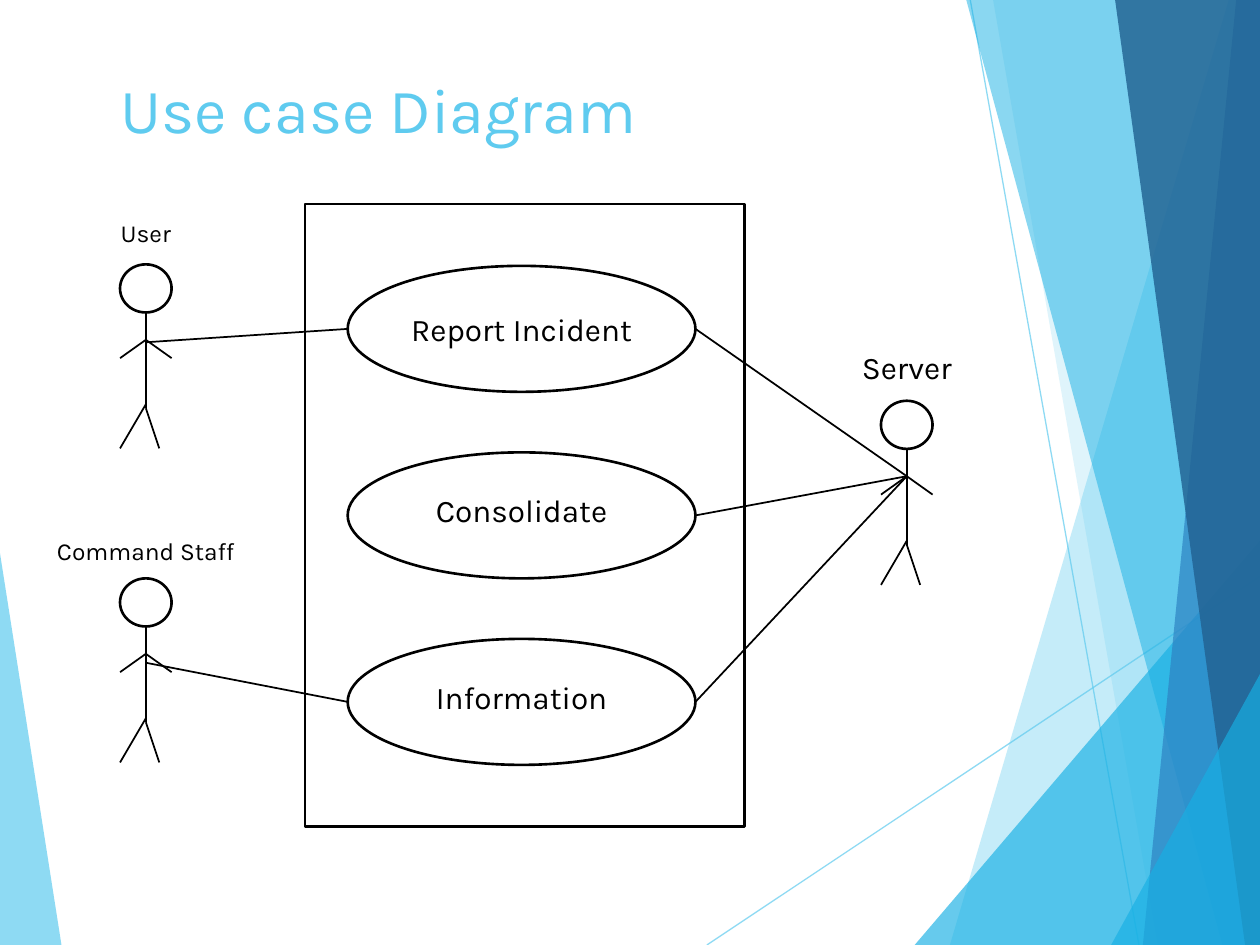
from lxml import etree
from pptx import Presentation
from pptx.dml.color import RGBColor
from pptx.enum.shapes import MSO_CONNECTOR, MSO_SHAPE
from pptx.enum.text import MSO_ANCHOR, PP_ALIGN
from pptx.oxml.ns import qn
from pptx.util import Cm, Pt

OVAL, RECTANGLE = MSO_SHAPE.OVAL, MSO_SHAPE.RECTANGLE
STRAIGHT = MSO_CONNECTOR.STRAIGHT
TOP, MIDDLE = MSO_ANCHOR.TOP, MSO_ANCHOR.MIDDLE
LEFT, CENTER = PP_ALIGN.LEFT, PP_ALIGN.CENTER

WIDTH, HEIGHT = 25.4, 19.05
FONT = "Karla"
BLACK, WHITE, SKY, AZURE, BLUE, NAVY = (
    "000000", "FFFFFF", "5FCBEF", "17B0E4", "2E83C3", "226292")


def color(hex_code):
    return RGBColor.from_string(hex_code)


def set_opacity(part, percent):
    for rgb in part._element.spPr.iter(qn("a:srgbClr")):
        etree.SubElement(rgb, qn("a:alpha")).set("val", str(percent * 1000))


def add_line(slide, start, end, hex_code=BLACK, weight=1):
    line = slide.shapes.add_connector(
        STRAIGHT, *(Cm(value) for value in (*start, *end)))
    line.line.color.rgb = color(hex_code)
    line.line.width = Pt(weight)
    etree.SubElement(line._element.spPr, qn("a:effectLst"))
    return line


def add_outline(slide, preset, box, fill=None):
    outline = slide.shapes.add_shape(preset, *(Cm(value) for value in box))
    outline.shadow.inherit = False
    if fill:
        outline.fill.solid()
        outline.fill.fore_color.rgb = color(fill)
    else:
        outline.fill.background()
    outline.line.color.rgb = color(BLACK)
    outline.line.width = Pt(1.5)


def add_text(slide, text, box, size, hex_code=BLACK, align=CENTER, anchor=MIDDLE):
    frame = slide.shapes.add_textbox(*(Cm(value) for value in box)).text_frame
    frame.word_wrap = True
    frame.vertical_anchor = anchor
    paragraph = frame.paragraphs[0]
    paragraph.text = text
    paragraph.alignment = align
    paragraph.font.name = FONT
    paragraph.font.size = Pt(size)
    paragraph.font.color.rgb = color(hex_code)


def add_facet(slide, points, hex_code, opacity):
    start, *rest = [(Cm(x), Cm(y)) for x, y in points]
    builder = slide.shapes.build_freeform(*start)
    builder.add_line_segments(rest, close=True)
    facet = builder.convert_to_shape()
    facet.shadow.inherit = False
    facet.fill.solid()
    facet.fill.fore_color.rgb = color(hex_code)
    facet.line.fill.background()
    set_opacity(facet, opacity)


def add_backdrop(slide, width, height):
    # Left wedge and thin rays
    add_facet(slide, [(0, 11.15), (1.24, height), (0, height)], SKY, 70)
    for start, end in [((14.25, height), (width, 11.62)),
                       ((19.56, 0), (22.96, height))]:
        set_opacity(add_line(slide, start, end, SKY, 0.75), 70)

    # Right facets: a slanted edge, closed along the slide's right side
    facets = [
        ((24.77, 0), (19.15, height), SKY, 36),
        ((20.02, 0), (23.34, height), SKY, 20),
        ((width, 10.9), (18.44, height), AZURE, 66),
        ((19.48, 0), (24.64, height), AZURE, 50),
        ((24.92, 0), (23.04, height), BLUE, 70),
        ((22.48, 0), (25.1, height), NAVY, 82),
        ((width, 13.59), (22.4, height), AZURE, 66),
    ]
    for upper, lower, hex_code, opacity in facets:
        edge = [upper, lower, (width, height)]
        if upper[0] < width:
            edge.append((width, 0))
        add_facet(slide, edge, hex_code, opacity)


def add_use_cases(slide, left, top, width, height):
    """Draw the system boundary; return each use case's left and right ends."""
    case_width, case_height, pitch = 7.01, 2.54, 3.76
    case_left = left + 0.86
    ends = []
    cases = [("Report Incident", 0.76), ("Consolidate", 0.66), ("Information", 0.66)]
    for row, (name, label_drop) in enumerate(cases):
        case_top = top + 1.25 + row * pitch
        add_outline(slide, OVAL, (case_left, case_top, case_width, case_height), WHITE)
        add_text(slide, name, (case_left, case_top + label_drop, case_width, 1.02), 18)
        middle = case_top + case_height / 2
        ends.append(((case_left, middle), (case_left + case_width, middle)))
    add_outline(slide, RECTANGLE, (left, top, width, height))
    return ends


def add_actor(slide, name, left, top, label_width, label_gap, size):
    """Draw a stick figure with its name above; return the shoulder point."""
    width, head_height = 1.04, 0.97
    center = left + width / 2
    add_outline(slide, OVAL, (left, top, width, head_height), WHITE)

    # Body, arms and legs
    shoulder, hands, hips, waist, feet = (
        top + drop for drop in (1.52, 1.89, 2.82, 2.9, 3.71))
    limbs = [
        (top + head_height, center, waist),
        (shoulder, left, hands),
        (shoulder, left + width, hands),
        (hips, left, feet),
        (waist, left + 0.79, feet),
    ]
    for start_y, end_x, end_y in limbs:
        add_line(slide, (center, start_y), (end_x, end_y))

    label_height = 0.86 if size < 18 else 1.02
    label_top = top - label_gap - label_height
    add_text(slide, name,
             (center - label_width / 2, label_top, label_width, label_height), size)
    return center, shoulder


def main():
    presentation = Presentation()
    presentation.slide_width, presentation.slide_height = Cm(WIDTH), Cm(HEIGHT)
    slide = presentation.slides.add_slide(presentation.slide_layouts[6])

    add_backdrop(slide, WIDTH, HEIGHT)
    add_text(slide, "Use case Diagram", (2.18, 1.3, 17.63, 3.66), 36, SKY, LEFT, TOP)

    report, consolidate, information = add_use_cases(slide, 6.15, 4.11, 8.86, 12.55)
    user = add_actor(slide, "User", 2.42, 5.33, 2.39, 0.2, 14)
    staff = add_actor(slide, "Command Staff", 2.42, 11.66, 5.26, 0.13, 14)
    server = add_actor(slide, "Server", 17.76, 8.08, 2.39, 0.18, 18)

    # Associations between actors and use cases
    for (x, shoulder), drop, case in [(user, 0.05, report), (staff, 0.18, information)]:
        add_line(slide, (x, shoulder + drop), case[0])
    for case in (report, consolidate, information):
        add_line(slide, server, case[1])

    presentation.save("out.pptx")


if __name__ == "__main__":
    main()
